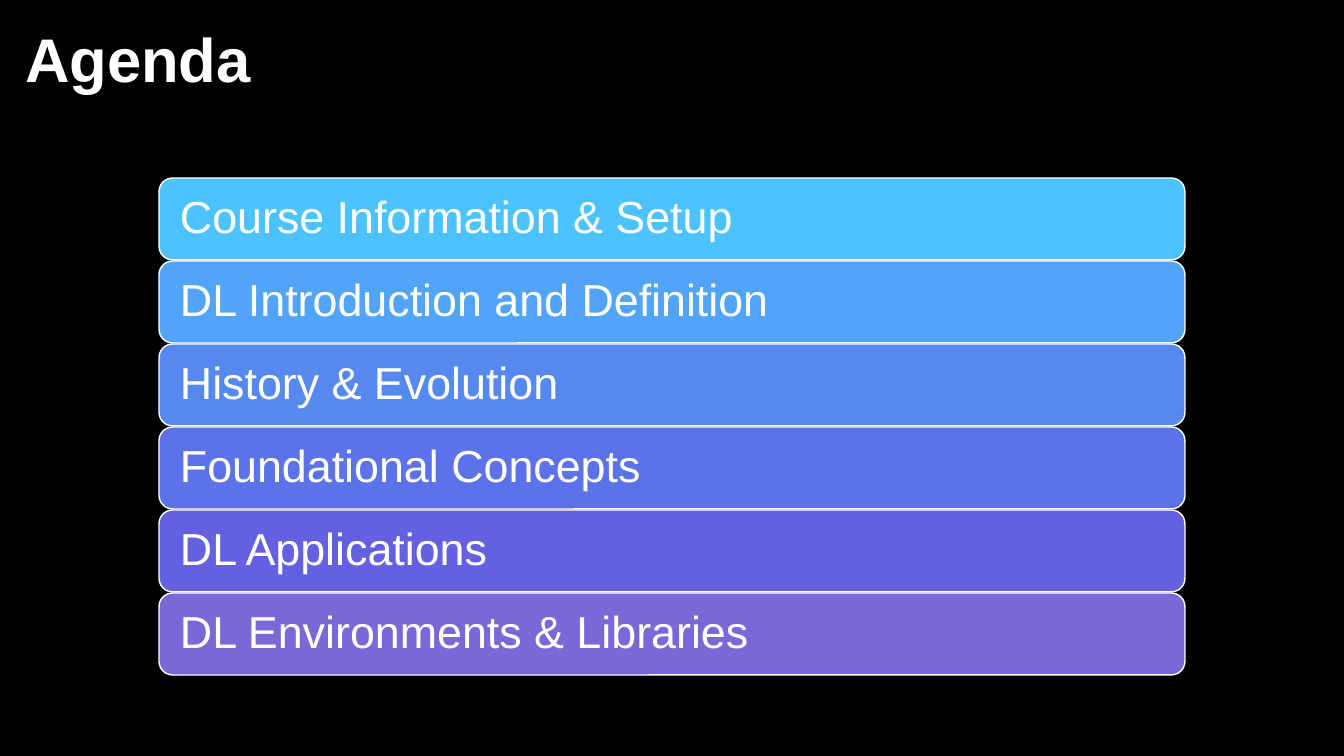
"""Build the agenda slide."""
import pptx
import pptx.util
import pptx.dml.color
import pptx.enum.shapes
import pptx.enum.text

RGBColor = pptx.dml.color.RGBColor
Align = pptx.enum.text.PP_ALIGN
BLACK = RGBColor(0x00, 0x00, 0x00)
WHITE = RGBColor(0xFF, 0xFF, 0xFF)

TITLE = "Agenda"
TOPICS = [
    ("Course Information & Setup", RGBColor(0x4C, 0xC3, 0xFE)),
    ("DL Introduction and Definition", RGBColor(0x51, 0xA4, 0xF7)),
    ("History & Evolution", RGBColor(0x56, 0x89, 0xF0)),
    ("Foundational Concepts", RGBColor(0x5C, 0x72, 0xE8)),
    ("DL Applications", RGBColor(0x63, 0x61, 0xE1)),
    ("DL Environments & Libraries", RGBColor(0x7C, 0x67, 0xD9)),
]

SLIDE_W, SLIDE_H = 1344, 756
TITLE_TOP, TITLE_H, TITLE_INSET = 7, 111, 25
BAR_LEFT, BAR_TOP, BAR_W, BAR_H, BAR_PITCH = 159, 178, 1026, 82, 83
BAR_INSET = 17


def px(n):
    return pptx.util.Emu(round(n * 12192000 / SLIDE_W))


def set_text(s, text, size, inset, bold=False):
    tf = s.text_frame
    tf.text = text
    tf.word_wrap = True
    tf.vertical_anchor = pptx.enum.text.MSO_ANCHOR.MIDDLE
    tf.margin_left = px(inset)
    p = tf.paragraphs[0]
    p.alignment = Align.LEFT
    p.line_spacing = 0.9
    font = p.runs[0].font
    font.name = "Arial"
    font.size = pptx.util.Pt(size)
    font.bold = bold
    font.color.rgb = WHITE


def add_bar(slide, row, topic, color):
    s = slide.shapes.add_shape(
        pptx.enum.shapes.MSO_SHAPE.ROUNDED_RECTANGLE,
        px(BAR_LEFT), px(BAR_TOP + row * BAR_PITCH), px(BAR_W), px(BAR_H))
    s.shadow.inherit = False
    s.fill.solid()
    s.fill.fore_color.rgb = color
    s.line.color.rgb = WHITE
    s.line.width = pptx.util.Pt(1)
    set_text(s, topic, 32, BAR_INSET)


def main():
    prs = pptx.Presentation()
    prs.slide_width, prs.slide_height = px(SLIDE_W), px(SLIDE_H)
    slide = prs.slides.add_slide(prs.slide_layouts.get_by_name("Title Only"))
    slide.background.fill.solid()
    slide.background.fill.fore_color.rgb = BLACK

    title = slide.shapes.title
    title.left, title.top = px(0), px(TITLE_TOP)
    title.width, title.height = px(SLIDE_W), px(TITLE_H)
    set_text(title, TITLE, 44, TITLE_INSET, bold=True)

    for row, (topic, color) in enumerate(TOPICS):
        add_bar(slide, row, topic, color)
    prs.save("out.pptx")


if __name__ == "__main__":
    main()
